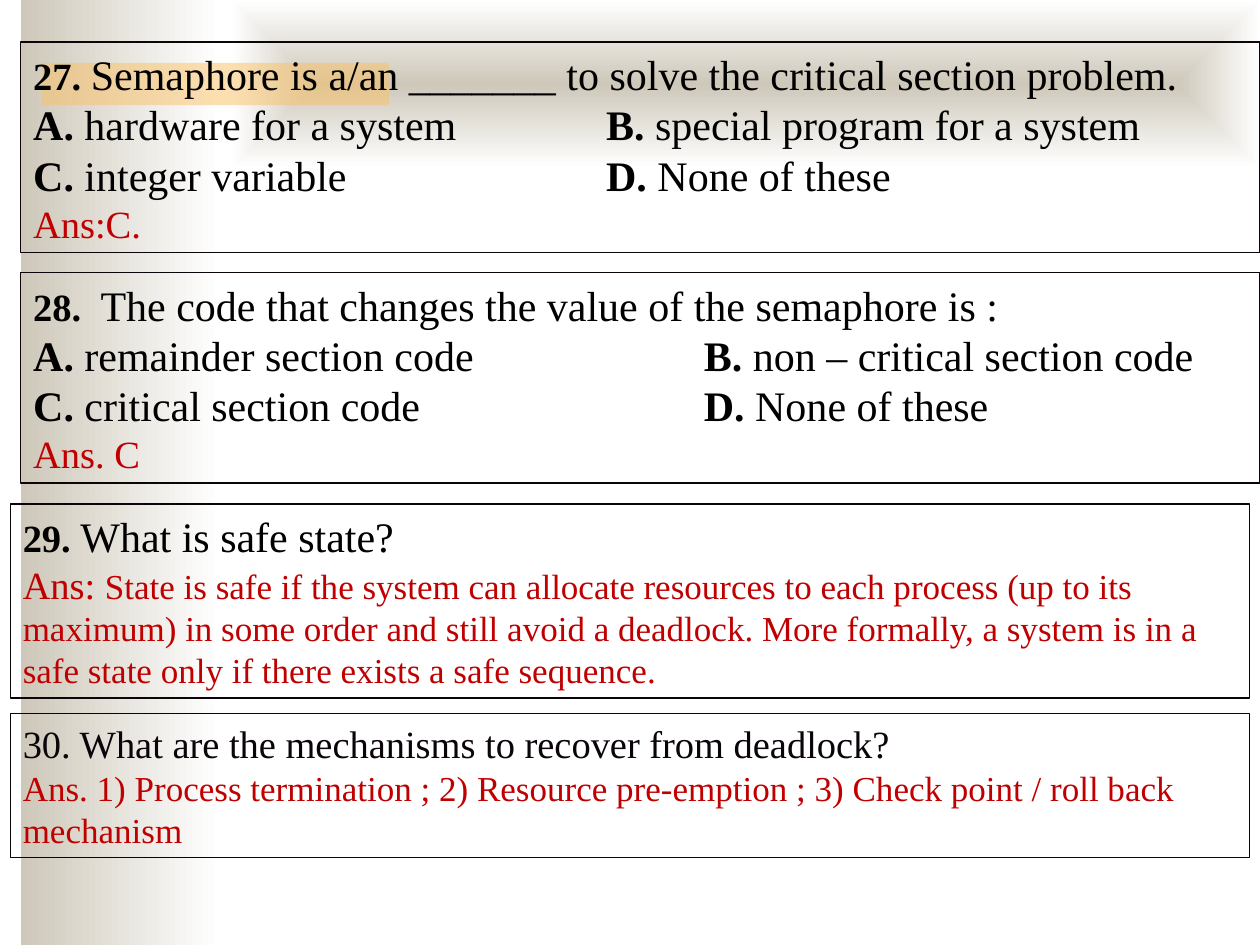
import pptx
import pptx.dml.color
import pptx.enum.shapes
import pptx.enum.text
import pptx.oxml
import pptx.oxml.ns
import pptx.util
from pptx.util import Cm

FONT = "Times New Roman"
COLORS = {
    "sand": "CEC8BA",
    "white": "FFFFFF",
    "amber": "FAC164",
    "black": "000000",
    "ink": "0B050B",
    "red": "C00000",
}
WIDE = 24.98

# Styles of text runs: size, colour, bold
NUM = (22, "black", True)
ASK = (24, "black", False)
KEY = (24, "black", True)
ANS = (22, "red", False)
WHY = (20, "red", False)


def rgb(name):
    return pptx.dml.color.RGBColor.from_string(COLORS[name])


def add_xml(parent, tag, **attrs):
    node = pptx.oxml.ns.qn(tag)
    child = parent.makeelement(node, attrs)
    parent.append(child)
    return child


def add_rect(slide, left, top, width, height):
    rect = slide.shapes.add_shape(
        pptx.enum.shapes.MSO_SHAPE.RECTANGLE,
        Cm(left), Cm(top), Cm(width), Cm(height))
    rect.shadow.inherit = False
    rect.line.fill.background()
    return rect


def add_fade(slide, left, top, width, height, center=False):
    """Add a sand to white gradient, from the left edge or from the centre."""
    rect = add_rect(slide, left, top, width, height)
    rect.fill.gradient()
    rect.fill.gradient_angle = 0
    for stop, name in zip(rect.fill.gradient_stops, ("sand", "white")):
        stop.color.rgb = rgb(name)
    if center:
        grad = rect._element.spPr.find(pptx.oxml.ns.qn("a:gradFill"))
        grad.remove(grad.find(pptx.oxml.ns.qn("a:lin")))
        route = add_xml(grad, "a:path", path="rect")
        half = dict.fromkeys("ltrb", "50000")
        add_xml(route, "a:fillToRect", **half)


def add_tint(slide, left, top, width, height):
    """Add a half transparent amber bar."""
    rect = add_rect(slide, left, top, width, height)
    rect.fill.solid()
    rect.fill.fore_color.rgb = rgb("amber")
    solid = rect._element.spPr.find(pptx.oxml.ns.qn("a:solidFill"))
    add_xml(solid[0], "a:alpha", val="50000")


def add_box(slide, left, top, height, lines, tab=None):
    """Add a framed question; tab is where the second choice starts."""
    box = slide.shapes.add_textbox(Cm(left), Cm(top), Cm(WIDE), Cm(height))
    box.line.color.rgb = rgb("ink")
    box.line.width = pptx.util.Pt(0.75)
    frame = box.text_frame
    frame.word_wrap = True
    frame.auto_size = pptx.enum.text.MSO_AUTO_SIZE.SHAPE_TO_FIT_TEXT
    for i, line in enumerate(lines):
        para = frame.add_paragraph() if i else frame.paragraphs[0]
        if tab:
            stops = add_xml(para._p.get_or_add_pPr(), "a:tabLst")
            add_xml(stops, "a:tab", pos=str(Cm(tab)), algn="l")
        for text, (size, color, bold) in line:
            run = para.add_run()
            run.text = text
            run.font.name = FONT
            run.font.size = pptx.util.Pt(size)
            run.font.bold = bold
            run.font.color.rgb = rgb(color)


def pair(one, first, two, second):
    """Give the runs of two lettered choices on one line."""
    return [(one, KEY), (f" {first}\t", ASK), (two, KEY), (f" {second}", ASK)]


def main():
    deck = pptx.Presentation()
    deck.slide_width, deck.slide_height = Cm(25.4), Cm(19.05)
    slide = deck.slides.add_slide(deck.slide_layouts[6])

    add_fade(slide, 0.42, 0, 4.02, 19.05)
    add_fade(slide, 4.66, 0, 20.74, 3.39, center=True)
    add_tint(slide, 0.85, 1.27, 6.99, 0.85)

    add_box(slide, 0.42, 0.85, 4.24, [
        [("27. ", NUM),
         ("Semaphore is a/an _______ to solve the critical section problem.",
          ASK)],
        pair("A.", "hardware for a system", "B.", "special program for a system"),
        pair("C.", "integer variable", "D.", "None of these"),
        [("Ans:C.", ANS)],
    ], tab=11.55)
    add_box(slide, 0.42, 5.5, 4.24, [
        [("28. ", NUM),
         (" The code that changes the value of the semaphore is :", ASK)],
        pair("A.", "remainder section code", "B.", "non – critical section code"),
        pair("C.", "critical section code", "D.", "None of these"),
        [("Ans. C", ANS)],
    ], tab=13.52)
    add_box(slide, 0.21, 10.16, 3.91, [
        [("29. ", NUM), ("What is safe state?", ASK)],
        [("Ans: ", ANS),
         ("State is safe if the system can allocate resources to each process "
          "(up to its maximum) in some order and still avoid a deadlock. More "
          "formally, a system is in a safe state only if there exists a safe "
          "sequence.", WHY)],
    ])
    add_box(slide, 0.21, 14.39, 2.9, [
        [("30. What are the mechanisms to recover from deadlock?",
          (22, "ink", False))],
        [("Ans. 1) Process termination ; 2) Resource pre-emption ; "
          "3) Check point / roll back mechanism", WHY)],
    ])
    deck.save("out.pptx")


if __name__ == "__main__":
    main()
